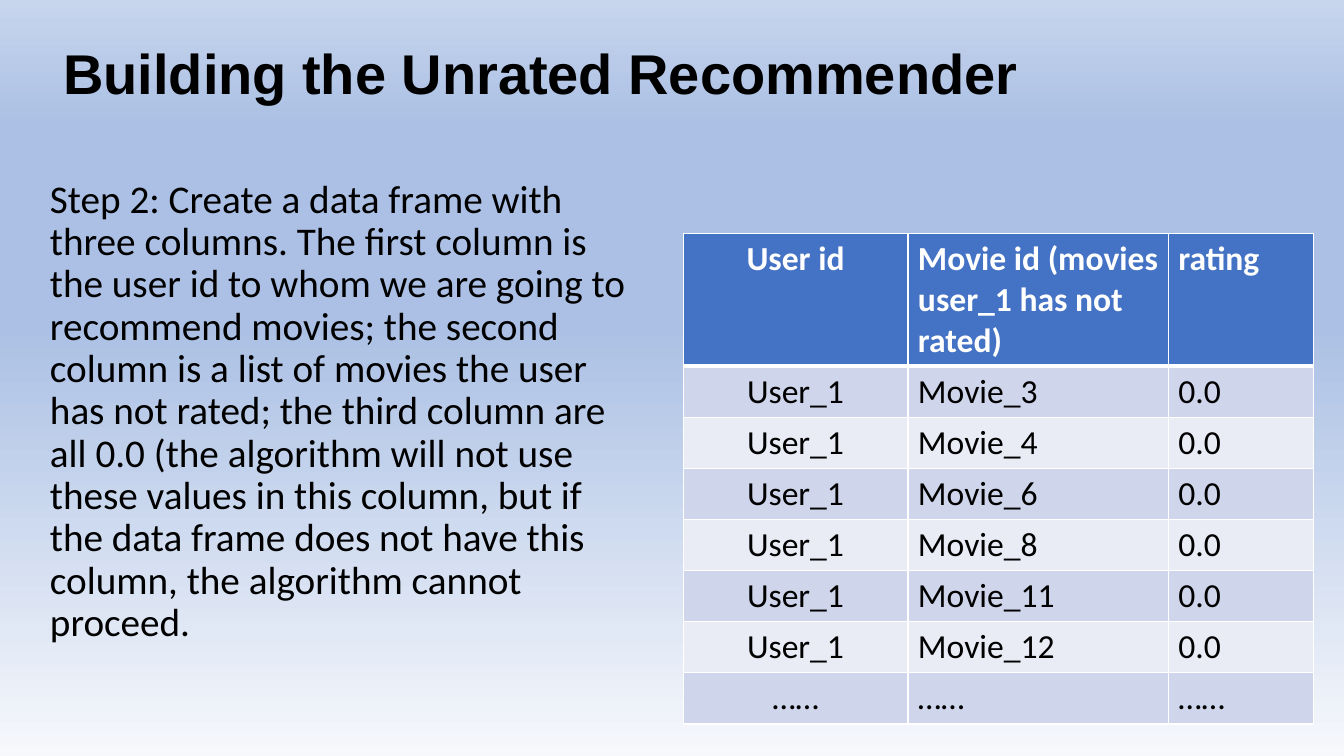
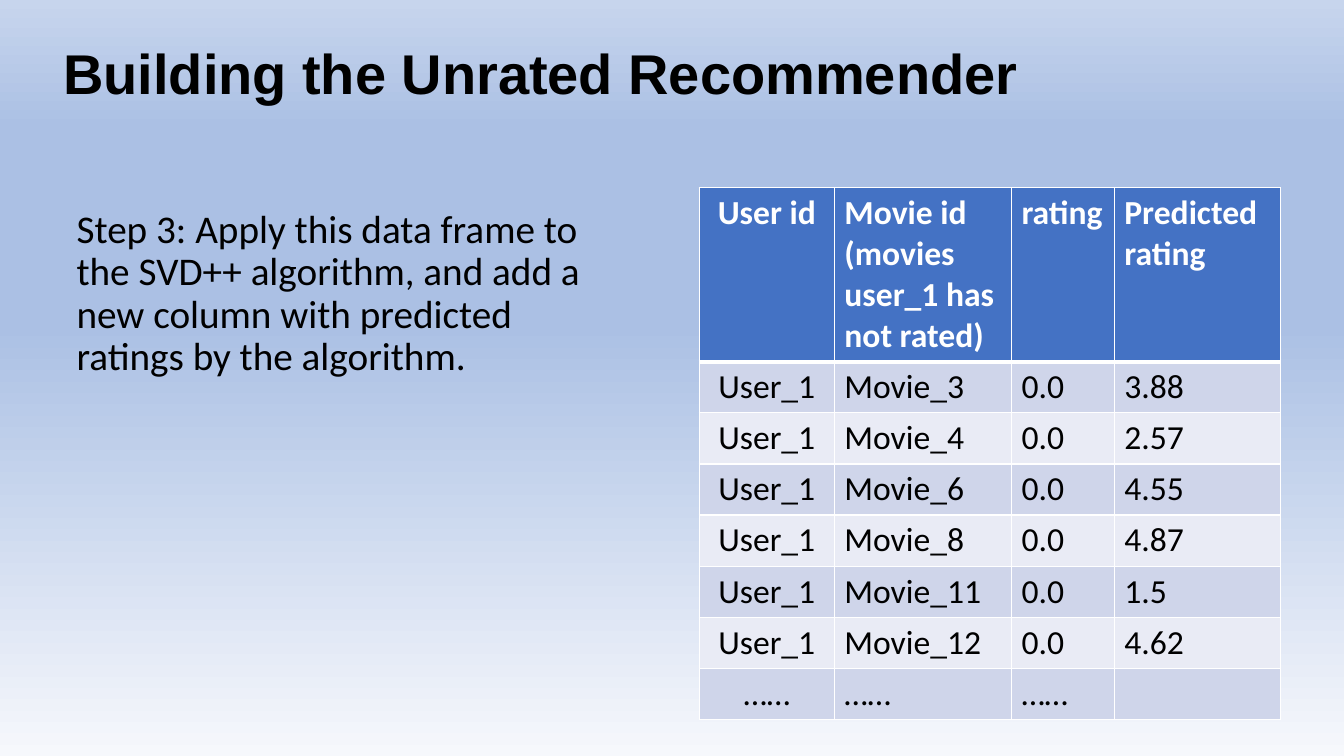
"""Build two slides on the unrated movie recommender."""
from lxml.etree import SubElement
from pptx import Presentation
from pptx.dml.color import RGBColor
from pptx.enum.text import MSO_ANCHOR, MSO_AUTO_SIZE, PP_ALIGN
from pptx.oxml.ns import qn
from pptx.util import Pt

BLACK = RGBColor(0x00, 0x00, 0x00)
WHITE = RGBColor(0xFF, 0xFF, 0xFF)
BLUE = RGBColor(0x44, 0x72, 0xC4)
BANDS = RGBColor(0xCF, 0xD5, 0xEA), RGBColor(0xE9, 0xEB, 0xF5)
PALE = RGBColor(0xF6, 0xF8, 0xFC)
SKY = RGBColor(0xAB, 0xC0, 0xE4)
MIST = RGBColor(0xC7, 0xD5, 0xED)
STOPS = (0, PALE), (57, SKY), (83, SKY), (100, MIST)

TITLE = "Building the Unrated Recommender"
STEP_2 = (
    "Step 2: Create a data frame with three columns. The first column is the "
    "user id to whom we are going to recommend movies; the second column is a "
    "list of movies the user has not rated; the third column are all 0.0 (the "
    "algorithm will not use these values in this column, but if the data frame "
    "does not have this column, the algorithm cannot proceed."
)
STEP_3 = (
    "Step 3: Apply this data frame to the SVD++ algorithm, and add a new column "
    "with predicted ratings by the algorithm."
)
HEAD = ["User id", "Movie id (movies user_1 has not rated)", "rating"]
FRAME = [HEAD]
FRAME += [["User_1", f"Movie_{n}", "0.0"] for n in (3, 4, 6, 8, 11, 12)]
FRAME += [["……"] * 3]
RATED = ["Predicted rating", "3.88", "2.57", "4.55", "4.87", "1.5", "4.62", ""]
ROW_H = 36.5


def place(shape, left, top, width, height):
    """Set the box of a shape in points."""
    shape.left, shape.top = Pt(left), Pt(top)
    shape.width, shape.height = Pt(width), Pt(height)


def set_master(deck):
    """Give the master its gradient and the layout its title box."""
    master = deck.slide_master
    fill = master.background.fill
    fill.gradient()
    fill.gradient_angle = 90
    stops = master.element.find(".//" + qn("a:gsLst"))
    for stop in list(stops):
        stops.remove(stop)
    for pos, color in STOPS:
        stop = SubElement(stops, qn("a:gs"), pos=str(pos * 1000))
        SubElement(stop, qn("a:srgbClr"), val=str(color))
    layout = deck.slide_layouts[1]
    place(layout.placeholders[0], 38, 2, 828, 104.5)
    return layout


def add_run(para, text, size, font="Calibri", color=BLACK, bold=False):
    """Add one formatted run to a paragraph."""
    run = para.add_run()
    run.text = text
    run.font.name, run.font.size = font, Pt(size)
    run.font.bold = bold
    run.font.color.rgb = color


def set_frame(shape, anchor):
    """Prepare a placeholder and return its first paragraph."""
    frame = shape.text_frame
    frame.word_wrap = True
    frame.auto_size = MSO_AUTO_SIZE.NONE
    frame.vertical_anchor = anchor
    para = frame.paragraphs[0]
    para.alignment = PP_ALIGN.LEFT
    para.line_spacing = 0.9
    return para


def add_slide(deck, layout, text, box):
    """Add a slide with the shared title and a plain body text."""
    slide = deck.slides.add_slide(layout)
    para = set_frame(slide.shapes.title, MSO_ANCHOR.MIDDLE)
    add_run(para, TITLE, 40, "Arial", bold=True)
    body = slide.placeholders[1]
    place(body, *box)
    para = set_frame(body, MSO_ANCHOR.TOP)
    para.space_before = Pt(10)
    props = para._p.get_or_add_pPr()
    props.set("marL", "0")
    props.set("indent", "0")
    SubElement(props, qn("a:buNone"))
    add_run(para, text, 28)
    return slide


def set_edges(cell, first):
    """Draw white cell borders, thick below the header."""
    props = cell._tc.get_or_add_tcPr()
    for side in "LRTB":
        thick = first and side == "B"
        line = SubElement(props, qn(f"a:ln{side}"), w=str(Pt(3 if thick else 1)))
        fill = SubElement(line, qn("a:solidFill"))
        SubElement(fill, qn("a:srgbClr"), val=str(WHITE))


def fill_cell(cell, text, row, col):
    """Format one cell by its row and column."""
    first = row == 0
    set_edges(cell, first)
    cell.fill.solid()
    cell.fill.fore_color.rgb = BLUE if first else BANDS[(row - 1) % 2]
    para = cell.text_frame.paragraphs[0]
    para.alignment = PP_ALIGN.LEFT if col else PP_ALIGN.CENTER
    if text:
        add_run(para, text, 24, color=WHITE if first else BLACK, bold=first)


def add_grid(slide, rows, left, top, widths, head_h):
    """Add a banded table with a tall header row."""
    heights = [head_h] + [ROW_H] * (len(rows) - 1)
    grid = slide.shapes.add_table(
        len(rows), len(widths), Pt(left), Pt(top), Pt(sum(widths)), Pt(sum(heights))
    ).table
    for col, width in zip(grid.columns, widths):
        col.width = Pt(width)
    for row, height in zip(grid.rows, heights):
        row.height = Pt(height)
    for r, texts in enumerate(rows):
        for c, text in enumerate(texts):
            fill_cell(grid.cell(r, c), text, r, c)


def main():
    """Build and save the deck."""
    deck = Presentation()
    deck.slide_width, deck.slide_height = Pt(960), Pt(540)
    layout = set_master(deck)
    slide = add_slide(deck, layout, STEP_2, (28.5, 124.5, 428.5, 374.5))
    add_grid(slide, FRAME, 488, 166.5, (160.5, 186, 103.5), 95)
    slide = add_slide(deck, layout, STEP_3, (47.5, 146, 384.5, 204))
    rows = [row + [rate] for row, rate in zip(FRAME, RATED)]
    add_grid(slide, rows, 499.5, 134, (96.5, 126.5, 73.5, 119), 124)
    deck.save("out.pptx")


if __name__ == "__main__":
    main()
